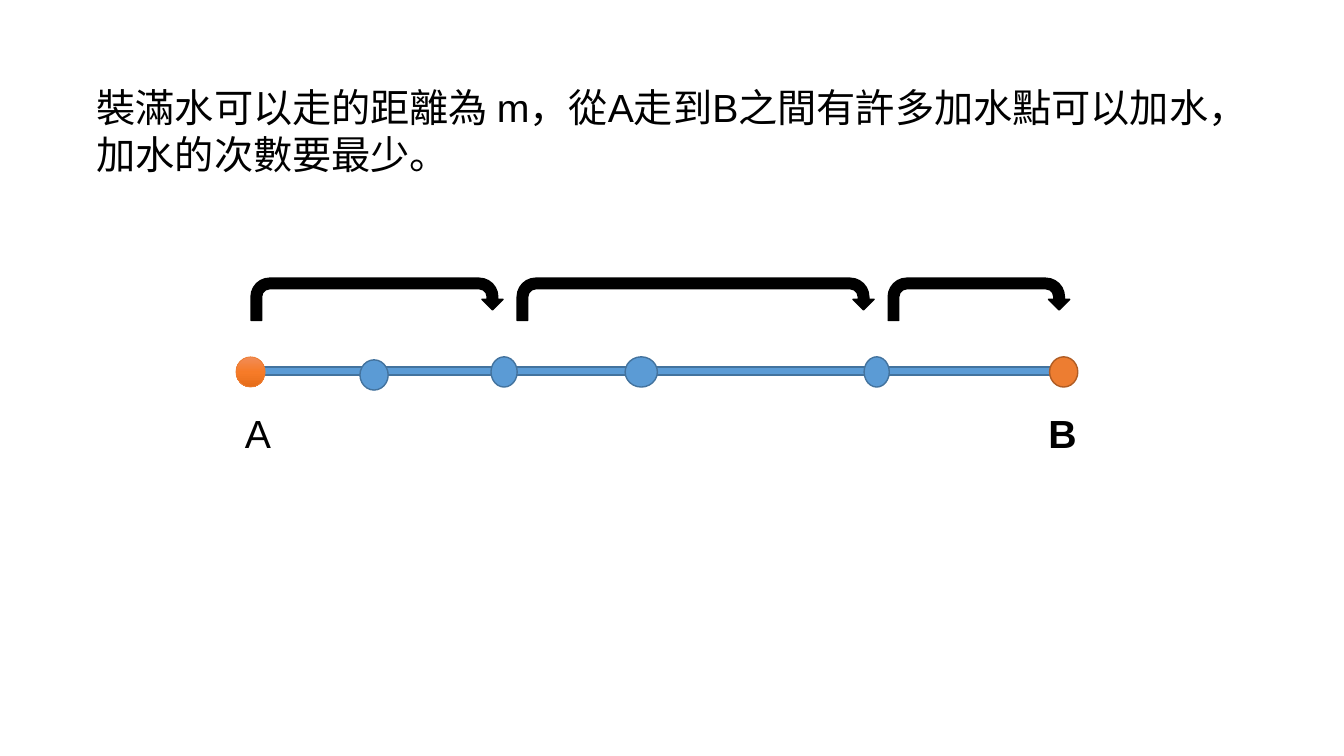
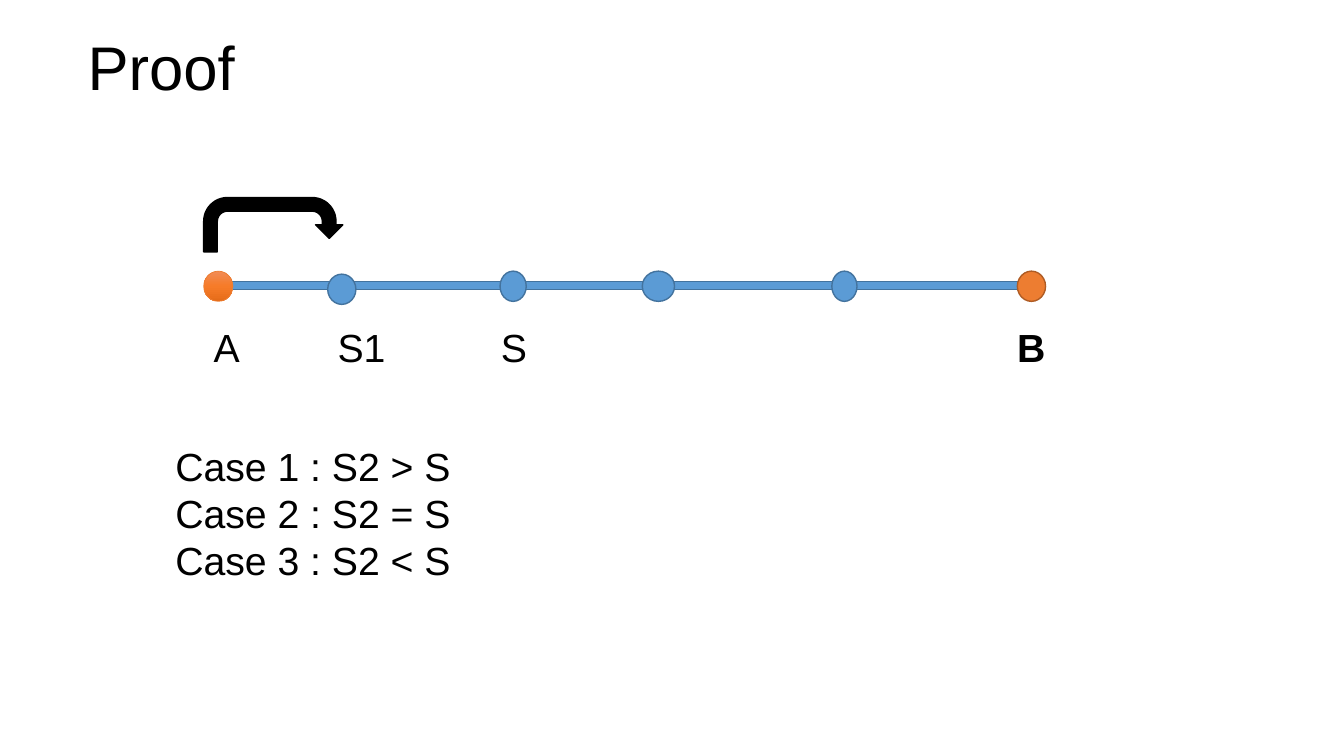
"""Build two slides on reaching B from A with the fewest water stops."""
from copy import deepcopy
from dataclasses import dataclass

from pptx import Presentation
from pptx import util as u
from pptx.dml.color import RGBColor
from pptx.enum import shapes, text
from pptx.oxml.ns import qn
from pptx.shapes.autoshape import Shape
from pptx.slide import Slide

HUES = {
    "ink": "000000", "blue": "5B9BD5", "edge": "43739E",
    "gold": "ED7D31", "rust": "AF5C24",
}
GLOW = {0: "F18C57", 0.5: "F67B28", 1: "E56C19"}
FONT = {"name": "Arial", "size": u.Pt(28), "bold": False}
KIND = shapes.MSO_SHAPE


@dataclass(frozen=True)
class Box:
    left: float
    top: float
    width: float
    height: float

    def size(self) -> list[u.Length]:
        return [u.Inches(v) for v in (self.left, self.top, self.width, self.height)]


@dataclass(frozen=True)
class Dot:
    left: float
    width: float
    fill: str = "blue"
    line: str = "edge"
    drop: float = 0


@dataclass(frozen=True)
class Note:
    words: str
    box: Box
    bold: bool = False


START = Dot(-0.09, 0.29, "gold", "gold")
FIRST = Dot(1.14, 0.28, drop=0.03)
LAST = Dot(6.14, 0.25)
GOAL = Dot(7.98, 0.28, "gold", "rust")


def add_form(slide: Slide, kind: KIND, box: Box, fill: str, line: str) -> Shape:
    form = slide.shapes.add_shape(kind, *box.size())
    form.shadow.inherit = False
    form.fill.solid()
    form.fill.fore_color.rgb = RGBColor.from_string(HUES[fill])
    form.line.color.rgb = RGBColor.from_string(HUES[line])
    form.line.width = u.Pt(1)
    return form


def add_glow(form: Shape) -> None:
    form.fill.gradient()
    form.fill.gradient_angle = 270
    stops = form.element.spPr.find(qn("a:gradFill")).find(qn("a:gsLst"))
    stops.append(deepcopy(stops[-1]))
    for stop, (place, hue) in zip(form.fill.gradient_stops, GLOW.items()):
        stop.position = place
        stop.color.rgb = RGBColor.from_string(hue)
    form.line.width = u.Pt(0.5)


def add_text(slide: Slide, words: str, box: Box, **style: object) -> text.MSO_ANCHOR:
    frame = slide.shapes.add_textbox(*box.size()).text_frame
    frame.word_wrap = True
    frame.text = words
    for para in frame.paragraphs:
        for key, value in (FONT | style).items():
            setattr(para.font, key, value)
        para.font.color.rgb = RGBColor.from_string(HUES["ink"])
    return frame


def add_road(slide: Slide, left: float, top: float, stops: list[Dot]) -> None:
    add_form(slide, KIND.RECTANGLE, Box(left, top, 8.19, 0.08), "blue", "edge")
    for dot in (START, FIRST, *stops, LAST, GOAL):
        box = Box(left + dot.left, top - 0.1 + dot.drop, dot.width, 0.3)
        form = add_form(slide, KIND.OVAL, box, dot.fill, dot.line)
        if dot is START:
            add_glow(form)


def add_hops(slide: Slide, hops: list[Box]) -> None:
    for hop in hops:
        add_form(slide, KIND.U_TURN_ARROW, hop, "ink", "ink")


def add_notes(slide: Slide, notes: list[Note]) -> None:
    for note in notes:
        add_text(slide, note.words, note.box, bold=note.bold)


def add_task(slide: Slide) -> None:
    add_text(
        slide,
        "裝滿水可以走的距離為 m，從A走到B之間有許多加水點可以加水，加水的次數要最少。",
        Box(0.86, 0.78, 11.5, 6.12),
    )
    add_road(slide, 2.43, 3.64, [Dot(2.44, 0.26), Dot(3.77, 0.32)])
    add_notes(slide, [
        Note("A", Box(2.33, 4.01, 0.41, 0.57)),
        Note("B", Box(10.3, 4.01, 0.38, 0.57), True),
    ])
    spans = ((2.49, 2.5), (5.13, 3.54), (8.81, 1.8))
    add_hops(slide, [Box(left, 2.76, width, 0.42) for left, width in spans])


def add_proof(slide: Slide) -> None:
    title = add_text(slide, "Proof", Box(0.77, 0.18, 11.5, 1.04), size=u.Pt(44))
    title.vertical_anchor = text.MSO_ANCHOR.MIDDLE
    title.paragraphs[0].line_spacing = 0.9
    add_road(slide, 2.11, 2.79, [Dot(2.85, 0.26), Dot(4.26, 0.32)])
    add_notes(slide, [
        Note("A", Box(2.02, 3.16, 0.4, 0.57)),
        Note("S1", Box(3.25, 3.16, 0.74, 0.57)),
        Note("S", Box(4.87, 3.16, 0.88, 0.57)),
        Note("B", Box(9.99, 3.16, 0.38, 0.57), True),
    ])
    add_hops(slide, [Box(2.02, 1.96, 1.38, 0.54)])
    cases = [f"Case {num} : S2 {sign} S" for num, sign in enumerate(">=<", 1)]
    add_text(slide, "\n".join(cases), Box(1.64, 4.34, 7.35, 1.82))


def main() -> None:
    deck = Presentation()
    deck.slide_width, deck.slide_height = u.Inches(13.33), u.Inches(7.5)
    for draw in (add_task, add_proof):
        draw(deck.slides.add_slide(deck.slide_layouts[6]))
    deck.save("out.pptx")


if __name__ == "__main__":
    main()
